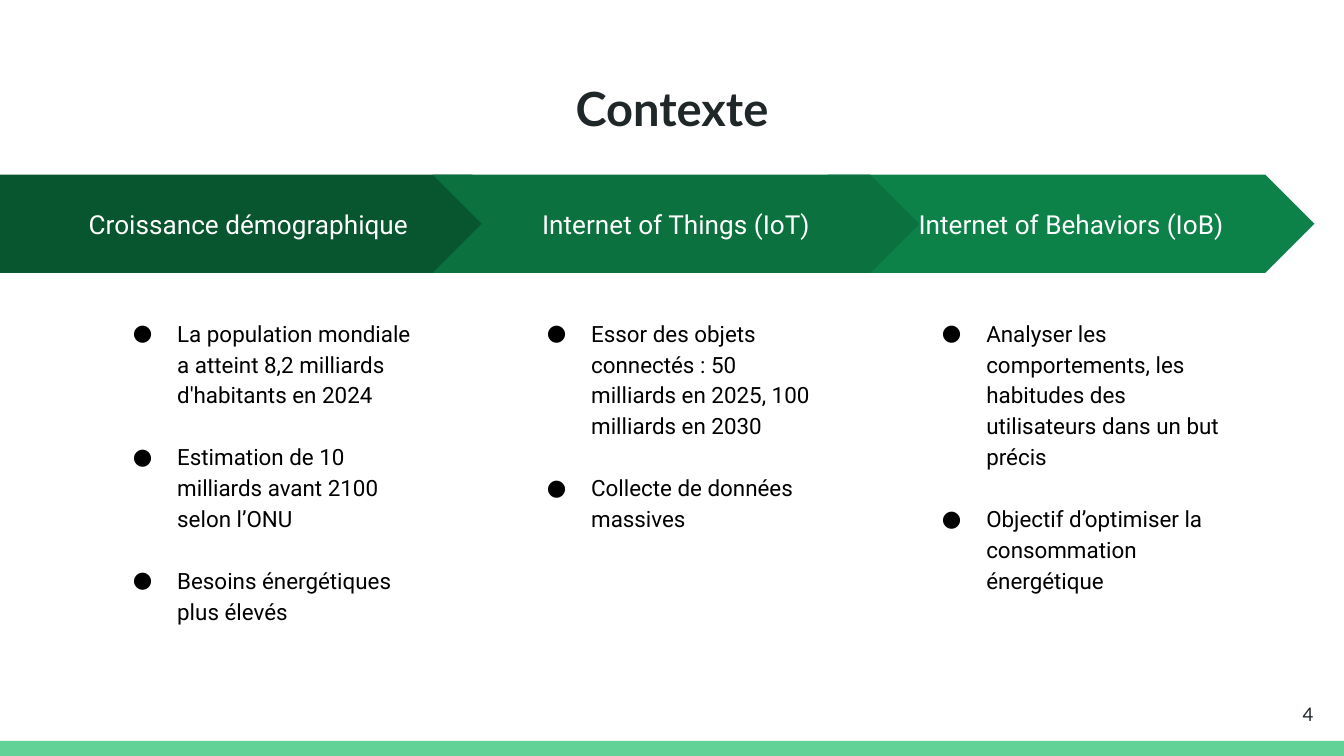
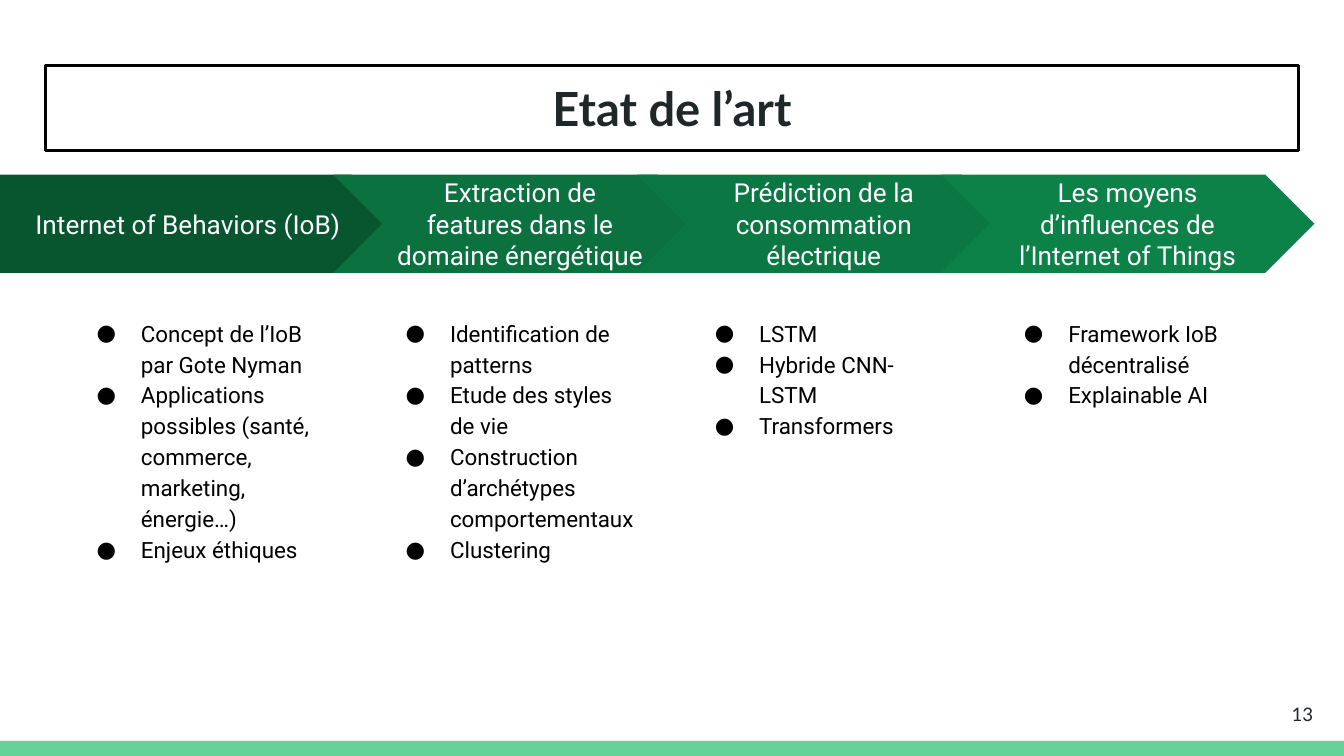
from lxml import etree
from pptx import Presentation
from pptx.dml.color import RGBColor
from pptx.enum.shapes import MSO_SHAPE
from pptx.enum.text import MSO_ANCHOR, PP_ALIGN
from pptx.oxml.ns import qn
from pptx.util import Inches, Pt

RECT, PLATE, CHEVRON = MSO_SHAPE.RECTANGLE, MSO_SHAPE.PENTAGON, MSO_SHAPE.CHEVRON
TOP, MIDDLE = MSO_ANCHOR.TOP, MSO_ANCHOR.MIDDLE
LEFT, CENTER, RIGHT = PP_ALIGN.LEFT, PP_ALIGN.CENTER, PP_ALIGN.RIGHT

WHITE = RGBColor(0xFF, 0xFF, 0xFF)
BLACK = RGBColor(0x00, 0x00, 0x00)
INK = RGBColor(0x20, 0x27, 0x29)
MINT = RGBColor(0x63, 0xD2, 0x97)
DARK = RGBColor(0x08, 0x56, 0x30)
GREEN = RGBColor(0x0B, 0x71, 0x3F)
MID = RGBColor(0x0B, 0x77, 0x43)
LIGHT = RGBColor(0x0C, 0x81, 0x48)

TITLE = {"name": "Lato", "size": Pt(25.2), "bold": True}
NUMBER = {"name": "Lato", "size": Pt(10)}
STEP = {"name": "Roboto", "size": Pt(14)}
BODY = {"name": "Roboto", "size": Pt(12)}

W, H = 10, 5.625
ARROW_TOP, ARROW_H = 1.3, 0.13 * H
BODY_TOP, BODY_H = 0.4 * H, 2.86
FOOT_H = 0.02 * H

# Each step: heading, colour, bullets
SLIDES = [
    {
        "title": "Contexte", "number": "4", "framed": False,
        "plate_w": 3.88, "chevron_w": 3.62, "first": 3.22, "pitch": 2.94,
        "body_lefts": [0.72, 3.8, 6.74], "body_w": 2.45,
        "gap": 16.5, "order": [2, 0, 1],
        "steps": [
            ("Croissance démographique", DARK, [
                "La population mondiale a atteint 8,2 milliards d'habitants en 2024",
                "Estimation de 10 milliards avant 2100 selon l’ONU",
                "Besoins énergétiques plus élevés"]),
            ("Internet of Things (IoT)", GREEN, [
                "Essor des objets connectés : 50 milliards en 2025, 100 milliards en 2030",
                "Collecte de données massives"]),
            ("Internet of Behaviors (IoB)", LIGHT, [
                "Analyser les comportements, les habitudes des utilisateurs dans un but précis",
                "Objectif d’optimiser la consommation énergétique"]),
        ],
    },
    {
        "title": "Etat de l’art", "number": "13", "framed": True,
        "plate_w": 2.98, "chevron_w": 2.78, "first": 2.48, "pitch": 2.26,
        "body_lefts": [0.45 + 2.3 * i for i in range(4)], "body_w": 2.08,
        "gap": 0, "order": range(4),
        "steps": [
            ("Internet of Behaviors (IoB)", DARK, [
                "Concept de l’IoB par Gote Nyman",
                "Applications possibles (santé, commerce, marketing, énergie…)",
                "Enjeux éthiques"]),
            ("Extraction de features dans le domaine énergétique", GREEN, [
                "Identification de patterns",
                "Etude des styles de vie",
                "Construction d’archétypes comportementaux",
                "Clustering"]),
            ("Prédiction de la consommation électrique", MID, [
                "LSTM", "Hybride CNN-LSTM", "Transformers"]),
            ("Les moyens d’influences de l’Internet of Things", LIGHT, [
                "Framework IoB décentralisé", "Explainable AI"]),
        ],
    },
]


def add_shape(s, kind, box, fill=None):
    """Add a flat shape, or a text box when kind is None."""
    box = [Inches(v) for v in box]
    if kind is None:
        return s.shapes.add_textbox(*box)
    sp = s.shapes.add_shape(kind, *box)
    sp.shadow.inherit = False
    sp.line.fill.background()
    if fill is None:
        sp.fill.background()
    else:
        sp.fill.solid()
        sp.fill.fore_color.rgb = fill
    return sp


def write(sp, lines, style, color, align, anchor, gap=0, bullets=False):
    tf = sp.text_frame
    tf.word_wrap = True
    tf.vertical_anchor = anchor
    for side in ("left", "top", "right", "bottom"):
        setattr(tf, f"margin_{side}", Inches(0.1))
    for i, line in enumerate(lines):
        p = tf.add_paragraph() if i else tf.paragraphs[0]
        p.alignment = align
        if bullets:
            p.line_spacing = 1.15
            p.space_before = Pt(gap if i else 0)
            pPr = p._p.get_or_add_pPr()
            pPr.set("marL", str(Inches(0.5)))
            pPr.set("indent", str(Inches(-0.33)))
            clr = etree.SubElement(pPr, qn("a:buClr"))
            etree.SubElement(clr, qn("a:srgbClr"), val=str(color))
            etree.SubElement(pPr, qn("a:buFont"), typeface="Roboto")
            etree.SubElement(pPr, qn("a:buChar"), char="●")
        r = p.add_run()
        r.text = line
        for key, value in style.items():
            setattr(r.font, key, value)
        r.font.color.rgb = color


prs = Presentation()
prs.slide_width, prs.slide_height = Inches(W), Inches(H)

for page in SLIDES:
    s = prs.slides.add_slide(prs.slide_layouts[6])
    s.background.fill.solid()
    s.background.fill.fore_color.rgb = WHITE
    add_shape(s, RECT, (0, H - FOOT_H, W, FOOT_H), MINT)

    sp = add_shape(s, RECT if page["framed"] else None, (0.34, 0.49, W - 2 * 0.34, 0.63))
    if page["framed"]:
        sp.line.color.rgb = BLACK
        sp.line.width = Pt(1.5)
    write(sp, [page["title"]], TITLE, INK, CENTER, TOP)

    sp = add_shape(s, None, (9.27, 5.1, 0.6, 0.43))
    write(sp, [page["number"]], NUMBER, INK, RIGHT, MIDDLE)

    for i in page["order"]:
        heading, fill, points = page["steps"][i]
        if i == 0:
            kind, left, width = PLATE, 0, page["plate_w"]
        else:
            kind, width = CHEVRON, page["chevron_w"]
            left = page["first"] + (i - 1) * page["pitch"]
        sp = add_shape(s, kind, (left, ARROW_TOP, width, ARROW_H), fill)
        write(sp, [heading], STEP, WHITE, CENTER, MIDDLE)
        sp = add_shape(s, None, (page["body_lefts"][i], BODY_TOP, page["body_w"], BODY_H))
        write(sp, points, BODY, BLACK, LEFT, TOP, page["gap"], bullets=True)

prs.save("out.pptx")
